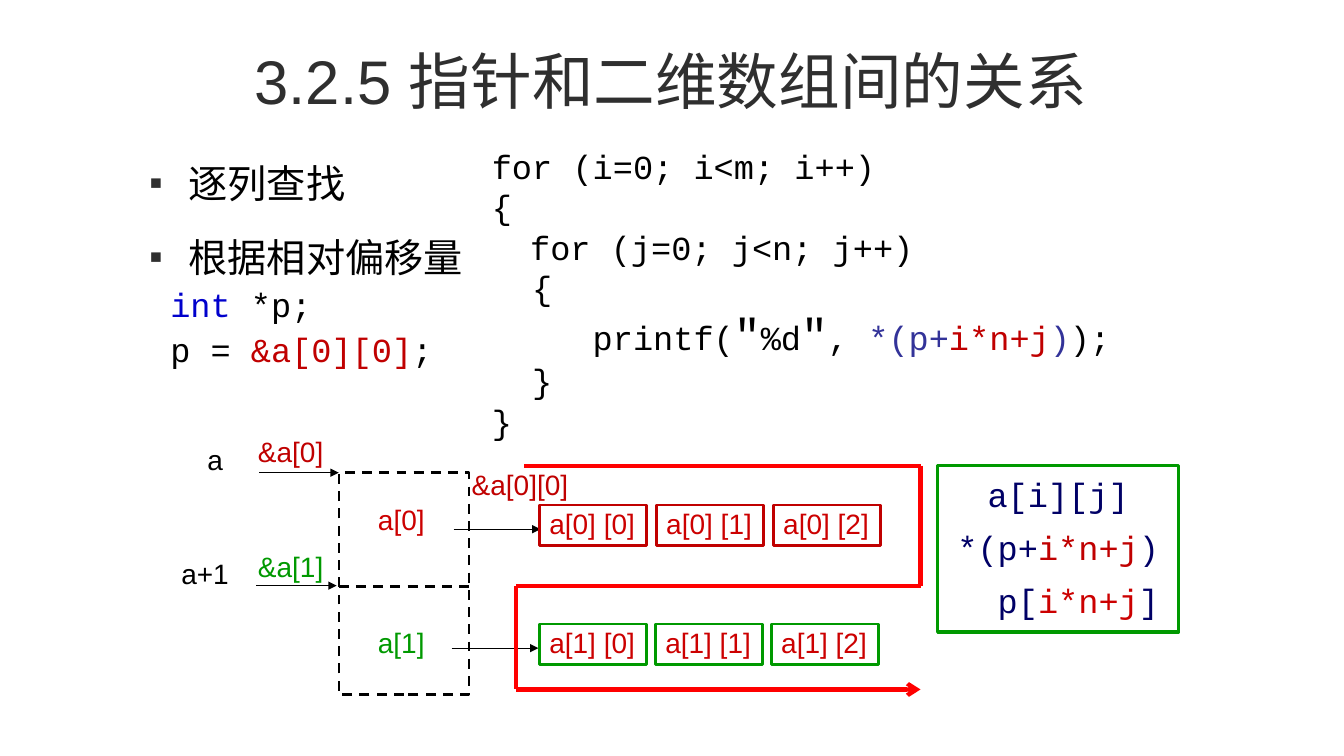
"""Build the slide on pointers and two-dimensional arrays."""
from lxml.etree import SubElement
from pptx import Presentation
from pptx.dml.color import RGBColor
from pptx.enum.dml import MSO_LINE
from pptx.enum.shapes import MSO_CONNECTOR, MSO_SHAPE
from pptx.enum.text import MSO_ANCHOR, PP_ALIGN
from pptx.oxml.ns import qn
from pptx.util import Inches, Pt

CELL = Inches(0.1)
BLACK, GREY, RED, CRIMSON, GREEN = "000000", "2F2F2F", "C00000", "CC0000", "009900"
NAVY, INDIGO, BLUE, PATH_RED = "000066", "333399", "0000CC", "FF0000"
SANS, MONO, CHINESE = "Arial", "Courier New", "Noto Sans CJK SC"
rgb = RGBColor.from_string

presentation = Presentation()
presentation.slide_width, presentation.slide_height = Inches(13.33), Inches(7.5)
slide = presentation.slides.add_slide(presentation.slide_layouts[1])


def write(lines, box, shape=None, size=20, font=SANS, color=BLACK, align=PP_ALIGN.LEFT,
          anchor=MSO_ANCHOR.TOP, wrap=False, spacing=0.9, before=0, after=0, indent=0,
          bullet=None, outline=None, width=2, fill=None):
    """Place lines of (text, color, size) runs in a placeholder, rectangle or text box."""
    position = [int(value * CELL) for value in box]
    if outline:
        shape = slide.shapes.add_shape(MSO_SHAPE.RECTANGLE, *position)
        shape.shadow.inherit = False
        shape.line.color.rgb, shape.line.width = rgb(outline), Pt(width)
        shape.fill.background()
        if fill:
            shape.fill.solid()
            shape.fill.fore_color.rgb = rgb(fill)
    elif shape is None:
        shape = slide.shapes.add_textbox(*position)
    shape.left, shape.top, shape.width, shape.height = position
    frame = shape.text_frame
    frame.word_wrap, frame.vertical_anchor = wrap, anchor
    for index, line in enumerate(lines):
        paragraph = frame.add_paragraph() if index else frame.paragraphs[0]
        paragraph.alignment, paragraph.line_spacing = align, spacing
        paragraph.space_before, paragraph.space_after = Pt(before if index else 0), Pt(after)
        properties = paragraph._p.get_or_add_pPr()
        properties.set("marL", str(int(indent * CELL)))
        properties.set("indent", str(-int(indent * CELL)))
        if bullet:
            bullet_color = SubElement(properties, qn("a:buClr"))
            SubElement(bullet_color, qn("a:srgbClr"), val=GREY)
            SubElement(properties, qn("a:buSzPct"), val="50000")
            SubElement(properties, qn("a:buChar"), char=bullet)
        for part in [line] if isinstance(line, str) else line:
            text, run_color, run_size = (part, color, size) if isinstance(part, str) else (*part, size)[:3]
            run = paragraph.add_run()
            run.text = text
            run.font.size, run.font.name = Pt(run_size), font
            run.font.color.rgb = rgb(run_color)
            SubElement(run.font._element, qn("a:ea"), typeface=CHINESE)
    return shape


def connect(start, end, color=BLACK, width=0.75, tail=None, dash=None):
    """Draw a straight line between two grid points."""
    points = [int(value * CELL) for value in (*start, *end)]
    connector = slide.shapes.add_connector(MSO_CONNECTOR.STRAIGHT, *points)
    connector.line.color.rgb, connector.line.width = rgb(color), Pt(width)
    if dash:
        connector.line.dash_style = dash
    if tail:
        SubElement(connector.line._get_or_add_ln(), qn("a:tailEnd"), type=tail)
    SubElement(connector._element.spPr, qn("a:effectLst"))


title, body = slide.placeholders
write(["3.2.5 指针和二维数组间的关系"], (17.8, 2.8, 97.5, 10.2), title, size=44, color=GREY,
      align=PP_ALIGN.CENTER, anchor=MSO_ANCHOR.MIDDLE, wrap=True, spacing=1)
write(["逐列查找", "根据相对偏移量"], (13.9, 14.4, 35.7, 22.3), body, size=28, font=CHINESE,
      wrap=True, spacing=1.2, before=6, after=6, indent=3.8, bullet="■")

formulas = ["a[i][j]", ["*(p+", ("i*n+j", RED), ")"], ["  p[", ("i*n+j", CRIMSON), "]"]]
write(formulas, (93, 46.2, 23.9, 16.5), size=24, font=MONO, color=NAVY, align=PP_ALIGN.CENTER,
      anchor=MSO_ANCHOR.MIDDLE, spacing=0.95, before=4.8, after=5.9,
      outline=GREEN, width=2.25, fill="FFFFFF")

connect((33.6, 58.2), (46.5, 58.2), width=1.75, dash=MSO_LINE.DASH)
pointers = write([], (33.6, 46.9, 12.9, 22), outline=BLACK, width=1.75)
pointers.line.dash_style = MSO_LINE.DASH

labels = [
    ("a", 19.6, 43.8, 3.6, BLACK), ("a+1", 17, 55.1, 6.7, BLACK),
    ("&a[0]", 24.6, 43, 8.6, RED), ("&a[1]", 24.6, 54.4, 8.6, GREEN),
    ("a[0]", 36.5, 49.7, 6.9, CRIMSON), ("a[1]", 36.5, 61.9, 6.7, GREEN),
    ("&a[0][0]", 45.8, 46.3, 11.7, RED),
]
for text, left, top, width, color in labels:
    write([text], (left, top, width, 4), color=color, after=5.9)

for left, right, y in [(25.7, 33.6, 46.9), (25.4, 33.4, 58.1), (45, 53.6, 52.5), (44.8, 53.4, 64.3)]:
    connect((left, y), (right, y), tail="triangle")

for row, (top, pitch, outline) in enumerate([(50.1, 11.6, RED), (61.9, 11.5, GREEN)]):
    for column in range(3):
        write([f"a[{row}] [{column}]"], (53.5 + column * pitch, top, 10.6, 4),
              color=CRIMSON, after=5.9, outline=outline)

route = [(52, 46.2), (91.3, 46.2), (91.3, 58.1), (51.2, 58.1), (51.2, 68.4), (91.3, 68.4)]
for start, end in zip(route, route[1:]):
    connect(start, end, PATH_RED, 3, tail="arrow" if end == route[-1] else None)

code = [
    "for (i=0; i<m; i++)",
    "{",
    "\tfor (j=0; j<n; j++)",
    "  {",
    ["     printf(", ('"', BLACK, 32), "%d", ('"', BLACK, 32), ",",
     (" *(p+", INDIGO), ("i*n+j", RED), (")", INDIGO), ");"],
    "  }",
    "}",
]
write(code, (47.8, 14.4, 71.7, 28.6), size=24, font=MONO, wrap=True, before=3, indent=3.8)
write([[("int ", BLUE), "*p;"], ["p = ", ("&a[0][0]", RED), ";"]], (15.9, 27.3, 33.2, 12.6),
      size=24, font=MONO, wrap=True, spacing=1.1)

presentation.save("out.pptx")
